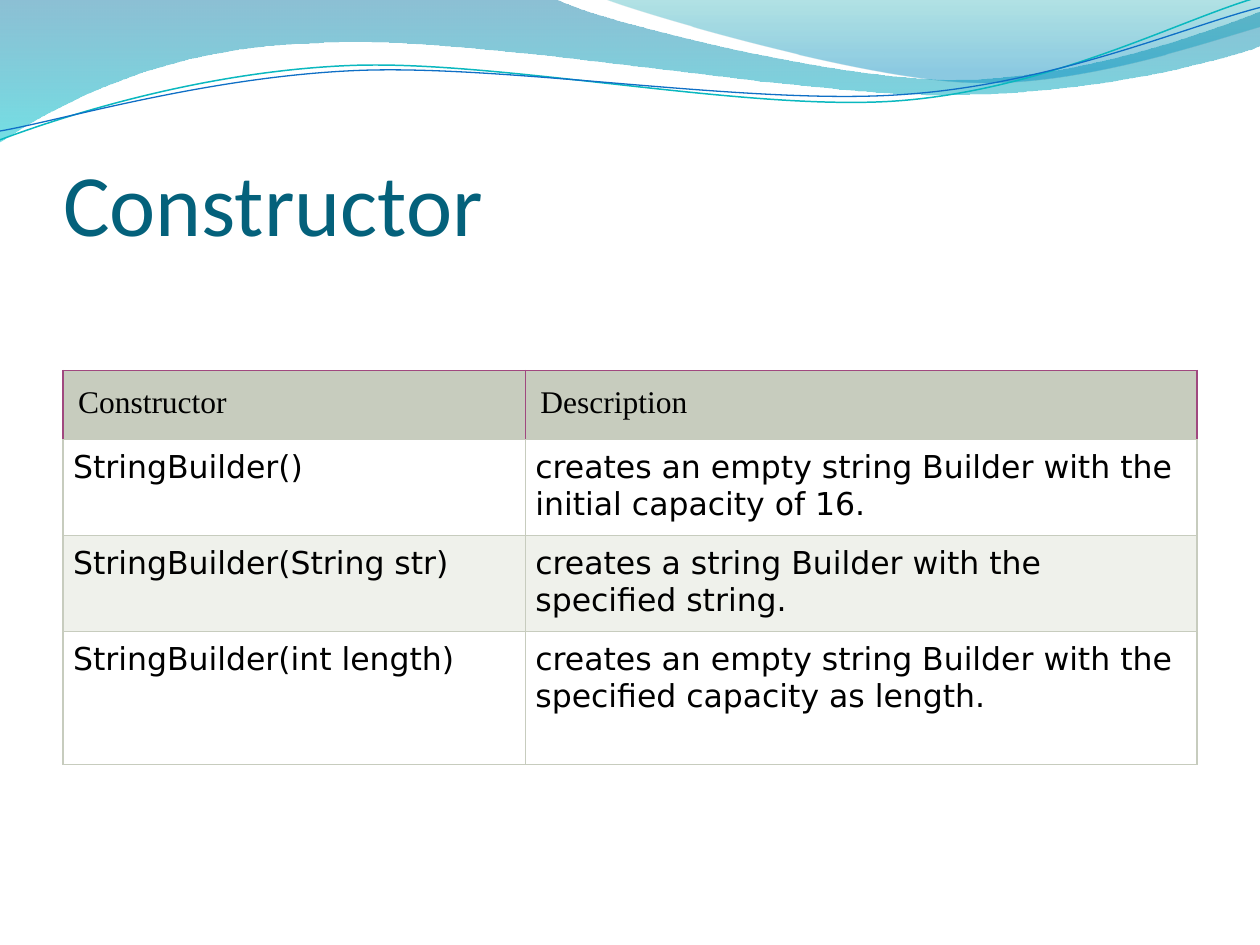
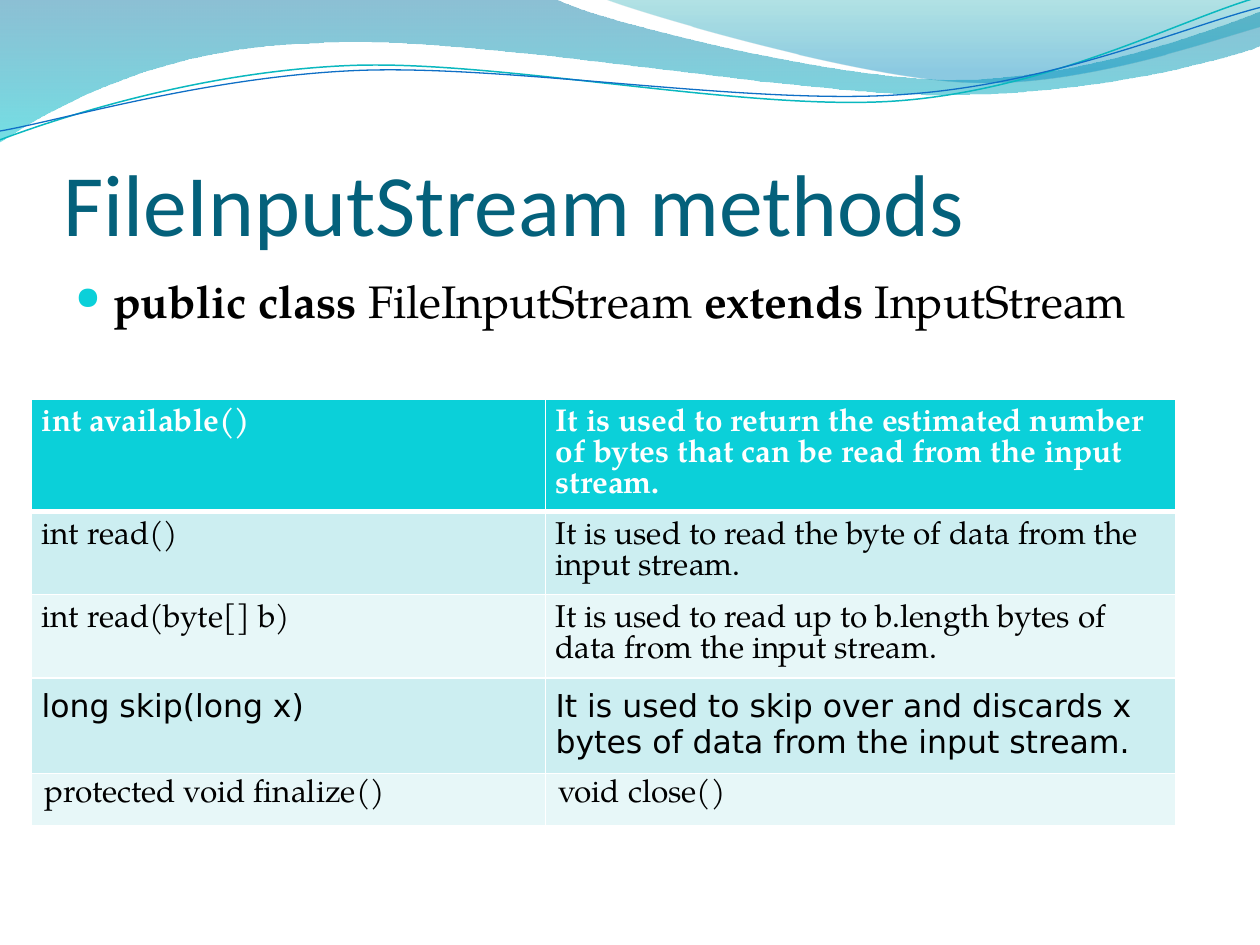
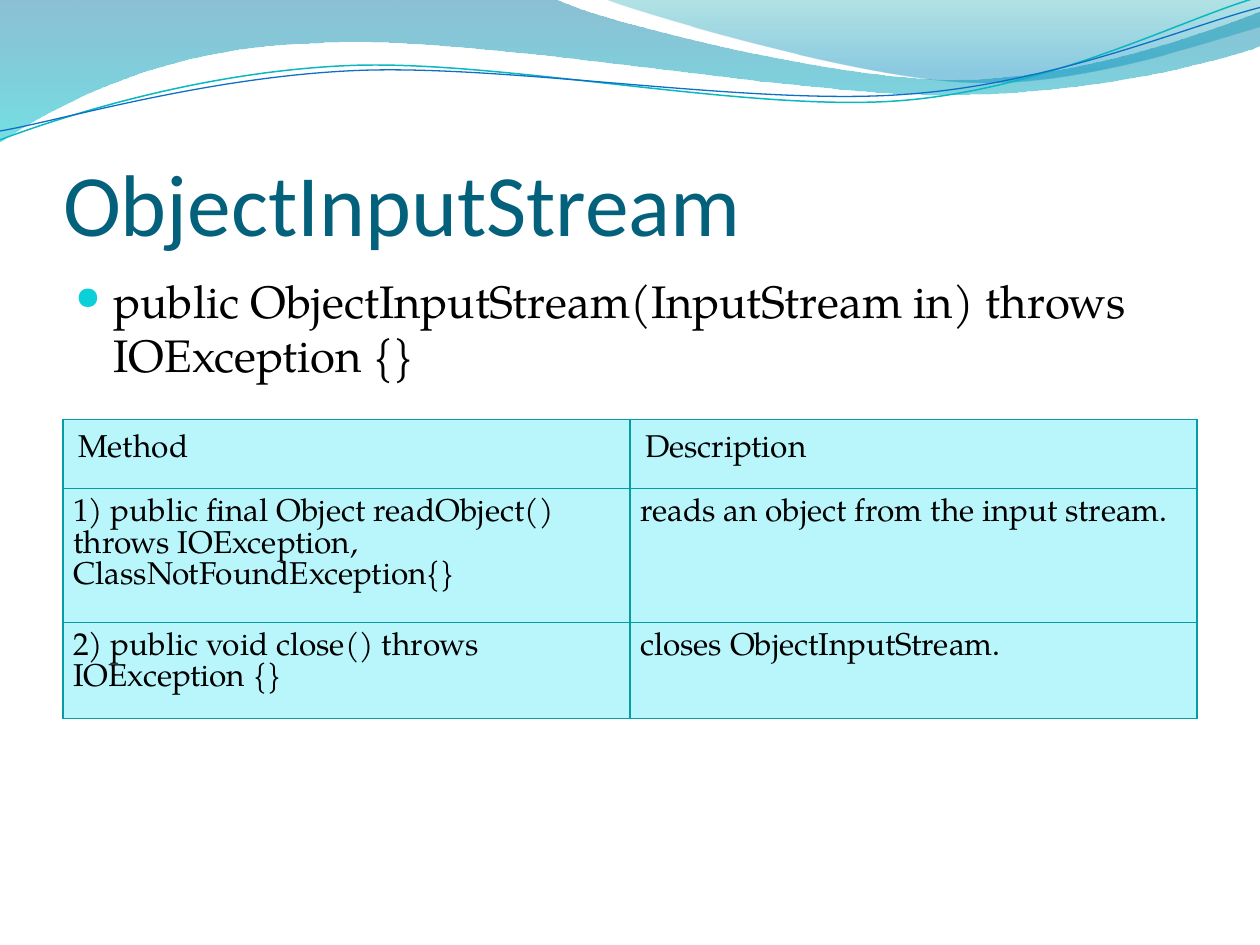
from dataclasses import dataclass
from math import cos, radians, sin

from lxml.etree import SubElement
from pptx import Presentation
from pptx.dml.color import RGBColor
from pptx.enum.text import MSO_ANCHOR, MSO_AUTO_SIZE, PP_ALIGN
from pptx.oxml import parse_xml
from pptx.oxml.ns import nsdecls, qn
from pptx.util import Emu, Inches, Pt

SLIDE_W, SLIDE_H = Inches(10), Inches(7.5)
CELL = SLIDE_W // 10  # the slide is a grid of 10 columns by 7.5 rows
TITLE_ONLY = 5

CALIBRI, DEJAVU = "Calibri", "DejaVu Sans"
PAGELLA, TIMES = "TeX Gyre Pagella", "Times New Roman"

COLORS = {
    "title": "04617B", "text": "000000", "white": "FFFFFF", "accent": "0BD0D9",
    "wave_blue": "0074A1", "wave_cyan": "00C6CF",
    "crest_teal": "00A1A9", "crest_blue": "008BBF",
    "line_teal": "0AB8BF", "line_blue": "0F6FC6",
    "sage": "C7CCBE", "sage_light": "EFF1EB", "plum": "A0487F",
    "aqua": "CCEEF1", "aqua_light": "E7F7F8",
    "sky": "B9F6FB", "sea": "069CA3",
}

Point = tuple[float, float]


@dataclass(frozen=True)
class Stop:
    position: int
    color: str
    opacity: int


@dataclass(frozen=True)
class Wave:
    """An outline: a start, then segments of one point (line) or three (curve)."""
    start: Point
    segments: tuple[tuple[Point, ...], ...]
    stops: tuple[Stop, ...] = ()
    line: str = ""
    width: float = 0
    center: Point = (0, 0)
    tilt: float = 0


@dataclass(frozen=True)
class Border:
    color: str
    width: float


@dataclass(frozen=True)
class Band:
    """The look of one table row."""
    fill: str
    font: str
    color: str = "text"
    bold: bool = False
    margins: Point = (0.08, 0.08)


@dataclass(frozen=True)
class Row:
    band: Band
    height: float
    texts: tuple[str, str]


@dataclass(frozen=True)
class TableSpec:
    left: float
    top: float
    height: float
    columns: tuple[float, float]
    border: Border
    head_border: Border
    head_bottom: Border
    rows: tuple[Row, ...]


@dataclass(frozen=True)
class SlideSpec:
    title: str
    table: TableSpec
    bullet: tuple[tuple[str, bool], ...] = ()


WAVES = (
    Wave((0, 0), (
        ((4.4, -0.01),),
        ((4.76, 0.17), (6.64, 0.63), (7.58, 0.63)),
        ((8.53, 0.63), (9.58, 0.26), (10, 0.09)),
        ((10.01, 0.36),),
        ((9.83, 0.44), (8.7, 0.76), (7.46, 0.75)),
        ((6.22, 0.75), (3.82, 0.28), (2.57, 0.34)),
        ((1.29, 0.36), (0.46, 0.83), (-0.01, 1.13)),
        ((0, 0),),
    ), stops=(Stop(0, "wave_blue", 45), Stop(100, "wave_cyan", 55))),
    Wave((4.79, -0.01), (
        ((5.09, 0.11), (6.82, 0.62), (7.69, 0.65)),
        ((8.56, 0.69), (9.61, 0.32), (10, 0.21)),
        ((10, 0),),
        ((4.79, -0.01),),
    ), stops=(Stop(0, "crest_teal", 30), Stop(80, "crest_blue", 45))),
    Wave((0, 1.11), (
        ((0.48, 0.93), (1.58, 0.57), (2.77, 0.52)),
        ((3.95, 0.47), (5.93, 0.89), (7.13, 0.8)),
        ((8.33, 0.71), (9.38, 0.15), (9.98, -0.02)),
    ), line="line_teal", width=0.85, center=(4.99, 0.57), tilt=-2.7),
    Wave((0, 1.04), (
        ((0.47, 0.96), (1.64, 0.61), (2.83, 0.56)),
        ((4.03, 0.51), (5.97, 0.84), (7.17, 0.75)),
        ((8.36, 0.67), (9.41, 0.21), (10, 0.06)),
    ), line="line_blue", width=0.75, center=(5, 0.59), tilt=-2.7),
)

SAGE_HEAD = Band("sage", TIMES, margins=(0.12, 0.12))
SAGE_PLAIN = Band("white", DEJAVU)
SAGE_BAND = Band("sage_light", DEJAVU)
AQUA_HEAD = Band("accent", PAGELLA, "white", True)
AQUA_DARK = Band("aqua", PAGELLA)
AQUA_DARK_SANS = Band("aqua", DEJAVU)
AQUA_LIGHT = Band("aqua_light", PAGELLA)
AQUA_LAST = Band("aqua_light", PAGELLA, margins=(0.1, 0.05))
SKY_HEAD = Band("sky", PAGELLA, margins=(0.12, 0.12))
SKY = Band("sky", PAGELLA)

SAGE_LINE = Border("sage", 0.75)
PLUM_LINE = Border("plum", 0.75)
WHITE_LINE = Border("white", 1)
SEA_LINE = Border("sea", 0.75)

SLIDES = (
    SlideSpec("Constructor", TableSpec(
        0.5, 2.94, 3.15, (3.67, 5.33), SAGE_LINE, PLUM_LINE, SAGE_LINE, (
            Row(SAGE_HEAD, 0.55, ("Constructor", "Description")),
            Row(SAGE_PLAIN, 0.76, (
                "StringBuilder()",
                "creates an empty string Builder with the initial capacity of 16.")),
            Row(SAGE_BAND, 0.76, (
                "StringBuilder(String str)",
                "creates a string Builder with the specified string.")),
            Row(SAGE_PLAIN, 1.06, (
                "StringBuilder(int length)",
                "creates an empty string Builder with the specified capacity as length.")),
        ))),
    SlideSpec("FileInputStream methods", TableSpec(
        0.25, 3.17, 3.77, (4.08, 5), WHITE_LINE, WHITE_LINE, Border("white", 3), (
            Row(AQUA_HEAD, 0.41, (
                "int available()",
                "It is used to return the estimated number of bytes that can be "
                "read from the input stream.")),
            Row(AQUA_DARK, 0.41, (
                "int read()",
                "It is used to read the byte of data from the input stream.")),
            Row(AQUA_LIGHT, 0.41, (
                "int read(byte[] b)",
                "It is used to read up to b.length bytes of data from the input stream.")),
            Row(AQUA_DARK_SANS, 0.41, (
                "long skip(long x)",
                "It is used to skip over and discards x bytes of data from the input stream.")),
            Row(AQUA_LAST, 0.41, ("protected void finalize()", "void close()")),
        )),
        (("public class ", True), ("FileInputStream ", False),
         ("extends ", True), ("InputStream", False))),
    SlideSpec("ObjectInputStream", TableSpec(
        0.5, 3.33, 2.38, (4.5, 4.5), SEA_LINE, SEA_LINE, SEA_LINE, (
            Row(SKY_HEAD, 0.55, ("Method", "Description")),
            Row(SKY, 1.06, (
                "1) public final Object readObject() throws IOException, "
                "ClassNotFoundException{}",
                "reads an object from the input stream.")),
            Row(SKY, 0.76, (
                "2) public void close() throws IOException {}",
                "closes ObjectInputStream.")),
        )),
        (("public ObjectInputStream(InputStream in) throws IOException {}", False),)),
)


def grid(cells: float) -> Emu:
    return Emu(round(cells * CELL))


def rgb(name: str) -> RGBColor:
    return RGBColor.from_string(COLORS[name])


def set_font(font, name: str, size: float, color: str, bold: bool = False) -> None:
    font.name, font.size, font.bold = name, Pt(size), bold
    font.color.rgb = rgb(color)


def set_margins(frame, left: float, top: float, right: float, bottom: float) -> None:
    frame.margin_left, frame.margin_top = grid(left), grid(top)
    frame.margin_right, frame.margin_bottom = grid(right), grid(bottom)


def turn(point: Point, center: Point, degrees: float) -> Point:
    """Turn a point clockwise around a centre."""
    angle = radians(degrees)
    dx, dy = point[0] - center[0], point[1] - center[1]
    return (center[0] + dx * cos(angle) - dy * sin(angle),
            center[1] + dx * sin(angle) + dy * cos(angle))


def bend(sp, segments: tuple[tuple[Point, ...], ...]) -> None:
    """Join the three straight steps of each curved segment into one Bézier."""
    outline = sp.element.spPr.find(".//" + qn("a:path"))
    steps = iter(outline.findall(qn("a:lnTo")))
    for segment in segments:
        group = [next(steps) for _ in segment]
        if len(group) == 3:
            curve = SubElement(outline, qn("a:cubicBezTo"))
            outline.replace(group[0], curve)
            for step in group:
                curve.append(step[0])
            for step in group[1:]:
                outline.remove(step)


def gradient(stops: tuple[Stop, ...]):
    """Return a top-to-bottom gradient fill element."""
    marks = "".join(
        f'<a:gs pos="{s.position * 1000}"><a:srgbClr val="{COLORS[s.color]}">'
        f'<a:alpha val="{s.opacity * 1000}"/></a:srgbClr></a:gs>' for s in stops)
    return parse_xml(f'<a:gradFill {nsdecls("a")} rotWithShape="1"><a:gsLst>{marks}'
                     '</a:gsLst><a:lin ang="5400000" scaled="0"/></a:gradFill>')


def draw_wave(slide, wave: Wave):
    points = [wave.start, *(point for segment in wave.segments for point in segment)]
    level = [turn(point, wave.center, -wave.tilt) for point in points]
    start, *rest = [(grid(px), grid(py)) for px, py in level]
    builder = slide.shapes.build_freeform(*start)
    builder.add_line_segments(rest, close=bool(wave.stops))
    sp = builder.convert_to_shape()
    bend(sp, wave.segments)
    sp.rotation = wave.tilt
    sp.shadow.inherit = False
    sp.fill.background()
    if wave.stops:
        no_fill = sp.element.spPr.find(qn("a:noFill"))
        sp.element.spPr.replace(no_fill, gradient(wave.stops))
        sp.line.fill.background()
    else:
        sp.line.color.rgb = rgb(wave.line)
        sp.line.width = Pt(wave.width)
    return sp


def add_waves_to_layout(slide) -> None:
    """Draw the waves once and move them to the layout, behind its placeholders."""
    tree = slide.slide_layout.shapes.element
    for i, wave in enumerate(WAVES):
        tree.insert(2 + i, draw_wave(slide, wave).element)


def set_title(slide, text: str) -> None:
    title = slide.shapes.title
    title.left, title.top = grid(0.5), grid(0.77)
    title.width, title.height = grid(9), grid(1.25)
    tf = title.text_frame
    tf.text = text
    tf.auto_size = MSO_AUTO_SIZE.NONE
    tf.vertical_anchor = MSO_ANCHOR.BOTTOM
    set_margins(tf, 0, 0.05, 0, 0)
    p = tf.paragraphs[0]
    p.alignment = PP_ALIGN.LEFT
    set_font(p.runs[0].font, CALIBRI, 50, "title")


def add_bullet(slide, parts: tuple[tuple[str, bool], ...]) -> None:
    box = slide.shapes.add_textbox(grid(0.5), grid(2.12), grid(9), grid(4.8))
    tf = box.text_frame
    tf.word_wrap = True
    set_margins(tf, 0.1, 0.05, 0.1, 0.05)
    p = tf.paragraphs[0]
    p.line_spacing = Pt(31)
    pPr = p._p.get_or_add_pPr()
    pPr.set("marL", str(grid(0.3)))
    pPr.set("indent", str(-grid(0.3)))
    for xml in (f'<a:buClr {nsdecls("a")}><a:srgbClr val="{COLORS["accent"]}"/></a:buClr>',
                f'<a:buSzPct {nsdecls("a")} val="70000"/>',
                f'<a:buChar {nsdecls("a")} char="●"/>'):
        pPr.append(parse_xml(xml))
    for text, bold in parts:
        r = p.add_run()
        r.text = text
        set_font(r.font, PAGELLA, 26, "text", bold)


def set_borders(cell, sides: dict[str, Border]) -> None:
    tcPr = cell._tc.get_or_add_tcPr()
    for side, border in sides.items():
        tcPr.append(parse_xml(
            f'<a:ln{side} {nsdecls("a")} w="{Pt(border.width)}"><a:solidFill>'
            f'<a:srgbClr val="{COLORS[border.color]}"/></a:solidFill></a:ln{side}>'))


def row_borders(table: TableSpec, index: int) -> dict[str, Border]:
    side = table.head_border if index == 0 else table.border
    top = table.head_bottom if index == 1 else side
    bottom = table.head_bottom if index == 0 else side
    return {"L": side, "R": side, "T": top, "B": bottom}


def fill_cell(cell, text: str, band: Band) -> None:
    cell.fill.solid()
    cell.fill.fore_color.rgb = rgb(band.fill)
    across, down = band.margins
    set_margins(cell, across, down, across, down)
    cell.text = text
    p = cell.text_frame.paragraphs[0]
    if band.font == PAGELLA:
        p.line_spacing = Pt(17.5 if band.bold else 18)
    set_font(p.runs[0].font, band.font, 18, band.color, band.bold)


def add_table(slide, spec: TableSpec) -> None:
    frame = slide.shapes.add_table(
        len(spec.rows), len(spec.columns), grid(spec.left), grid(spec.top),
        grid(sum(spec.columns)), grid(spec.height))
    table = frame.table
    table.horz_banding = False
    for column, width in zip(table.columns, spec.columns):
        column.width = grid(width)
    for i, row in enumerate(spec.rows):
        table.rows[i].height = grid(row.height)
        for j, text in enumerate(row.texts):
            cell = table.cell(i, j)
            set_borders(cell, row_borders(spec, i))
            fill_cell(cell, text, row.band)
    frame.height = grid(spec.height)


def main() -> None:
    prs = Presentation()
    prs.slide_width, prs.slide_height = SLIDE_W, SLIDE_H
    layout = prs.slide_layouts[TITLE_ONLY]
    for i, spec in enumerate(SLIDES):
        slide = prs.slides.add_slide(layout)
        if i == 0:
            add_waves_to_layout(slide)
        set_title(slide, spec.title)
        if spec.bullet:
            add_bullet(slide, spec.bullet)
        add_table(slide, spec.table)
    prs.save("out.pptx")


if __name__ == "__main__":
    main()
